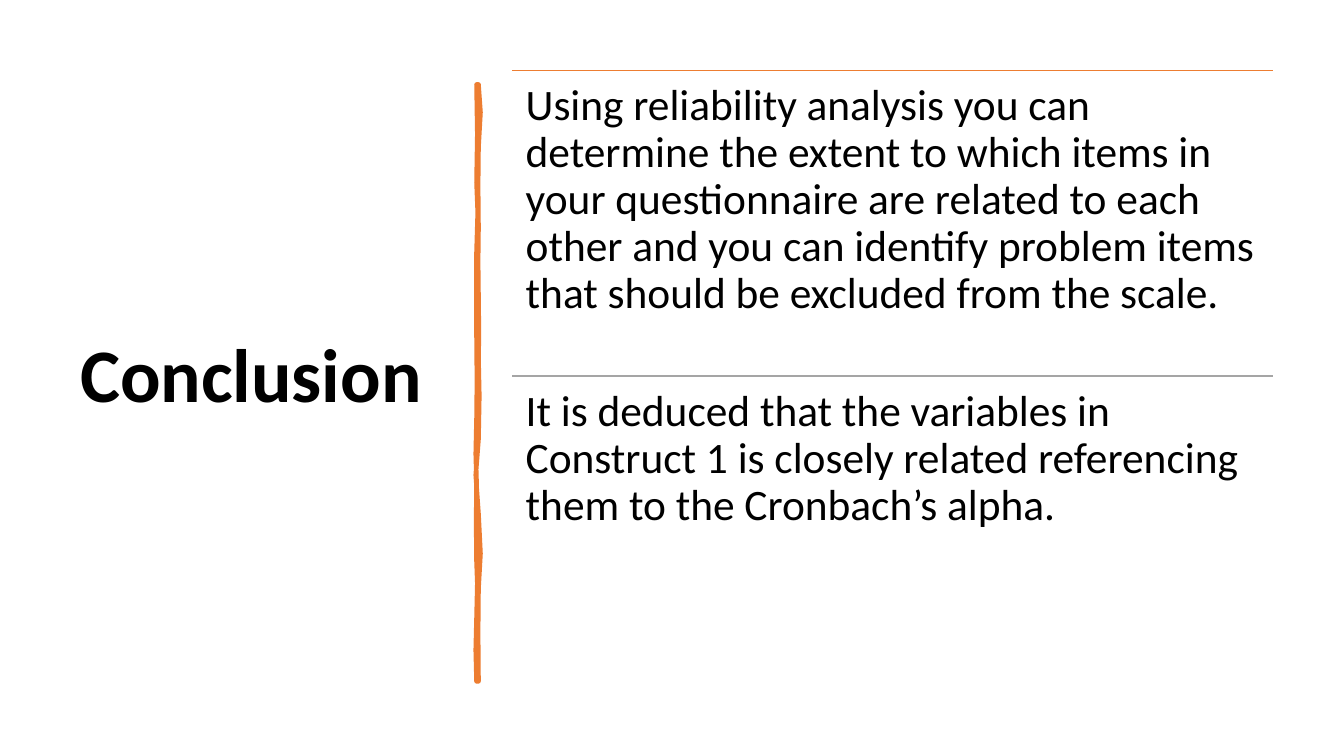
from dataclasses import dataclass

from lxml import etree
from pptx import Presentation
from pptx.dml.color import RGBColor
from pptx.enum.shapes import MSO_CONNECTOR
from pptx.enum.text import MSO_ANCHOR
from pptx.oxml.ns import qn
from pptx.util import Cm, Pt

STRAIGHT = MSO_CONNECTOR.STRAIGHT
TOP, MIDDLE = MSO_ANCHOR.TOP, MSO_ANCHOR.MIDDLE


@dataclass(frozen=True)
class Theme:
    font: str = "Calibri"
    ink: RGBColor = RGBColor(0x00, 0x00, 0x00)
    accent: RGBColor = RGBColor(0xED, 0x7D, 0x31)
    grey: RGBColor = RGBColor(0xA5, 0xA5, 0xA5)
    title_size: int = 54
    body_size: int = 31
    rule_width: float = 1
    stroke_width: float = 3.25


# Brush outline in cm: down the right edge, then up the left edge
BRUSH_OUTLINE = [
    (12.06, 2.13), (12.11, 2.83), (12.06, 3.71), (12.05, 4.68),
    (12.06, 5.74), (12.05, 6.59), (12.06, 7.47), (12.07, 8.42),
    (12.06, 9.04), (12.08, 9.98), (12.06, 11.07), (11.99, 11.97),
    (12.06, 12.95), (12.11, 13.95), (12.06, 14.83), (12.05, 15.94),
    (12.06, 17.17),
    (12.01, 17.17), (11.99, 16.38), (12.01, 15.57), (12.03, 14.7),
    (12.01, 14.15), (12.00, 13.18), (12.01, 12.12), (11.99, 11.44),
    (12.01, 10.54), (12.02, 9.61), (12.01, 8.51), (12.01, 7.37),
    (12.01, 6.35), (12.04, 5.35), (12.01, 4.60), (12.03, 3.38),
    (12.01, 2.13),
]


class SlideBuilder:
    def __init__(self, s, theme):
        self.s = s
        self.theme = theme

    def text(self, words, left, top, width, height, size,
             bold=False, anchor=TOP, inset_x=0.34, inset_y=0.33):
        sp = self.s.shapes.add_textbox(Cm(left), Cm(top), Cm(width), Cm(height))
        tf = sp.text_frame
        tf.word_wrap = True
        tf.vertical_anchor = anchor
        tf.margin_left = tf.margin_right = Cm(inset_x)
        tf.margin_top = tf.margin_bottom = Cm(inset_y)
        p = tf.paragraphs[0]
        p.line_spacing = 0.9
        r = p.add_run()
        r.text = words
        r.font.name = self.theme.font
        r.font.size = Pt(size)
        r.font.bold = bold
        r.font.color.rgb = self.theme.ink

    def rule(self, left, top, width, color):
        sp = self.s.shapes.add_connector(
            STRAIGHT, Cm(left), Cm(top), Cm(left + width), Cm(top))
        sp.line.color.rgb = color
        sp.line.width = Pt(self.theme.rule_width)
        etree.SubElement(sp._element.spPr, qn("a:effectLst"))

    def brush_stroke(self, outline, color):
        points = [(Cm(x), Cm(y)) for x, y in outline]
        builder = self.s.shapes.build_freeform(*points[0])
        builder.add_line_segments(points[1:], close=True)
        sp = builder.convert_to_shape()
        sp.shadow.inherit = False
        sp.fill.solid()
        sp.fill.fore_color.rgb = color
        sp.line.color.rgb = color
        sp.line.width = Pt(self.theme.stroke_width)
        etree.SubElement(sp.line._get_or_add_ln(), qn("a:round"))


def main():
    theme = Theme()
    prs = Presentation()
    prs.slide_width, prs.slide_height = Cm(33.87), Cm(19.05)
    slide = SlideBuilder(prs.slides.add_slide(prs.slide_layouts[6]), theme)

    # Title and vertical divider
    slide.text("Conclusion", 1.77, 1.76, 9.5, 15.52, theme.title_size,
               bold=True, anchor=MIDDLE, inset_x=0.25, inset_y=0.13)
    slide.brush_stroke(BRUSH_OUTLINE, theme.accent)

    # Conclusions, each under its own rule
    left, top, width, height = 12.91, 1.77, 19.18, 7.7
    conclusions = [
        ("Using reliability analysis you can determine the extent to which "
         "items in your questionnaire are related to each other and you can "
         "identify problem items that should be excluded from the scale.",
         theme.accent),
        ("It is deduced that the variables in Construct 1 is closely related "
         "referencing them to the Cronbach’s alpha.", theme.grey),
    ]
    for i, (words, color) in enumerate(conclusions):
        y = top + i * height
        slide.rule(left, y, width, color)
        slide.text(words, left, y, width, height, theme.body_size)

    prs.save("out.pptx")


if __name__ == "__main__":
    main()
